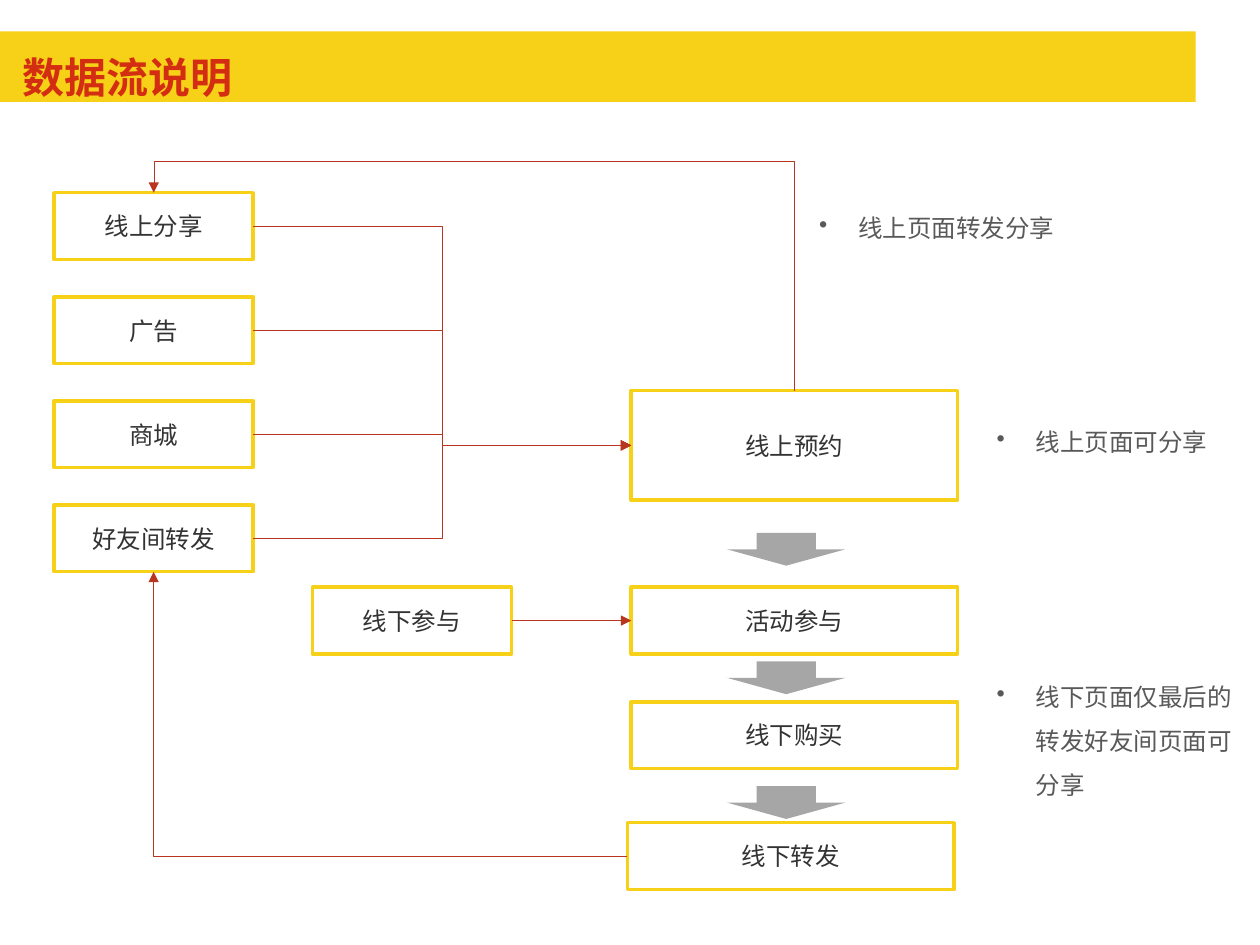
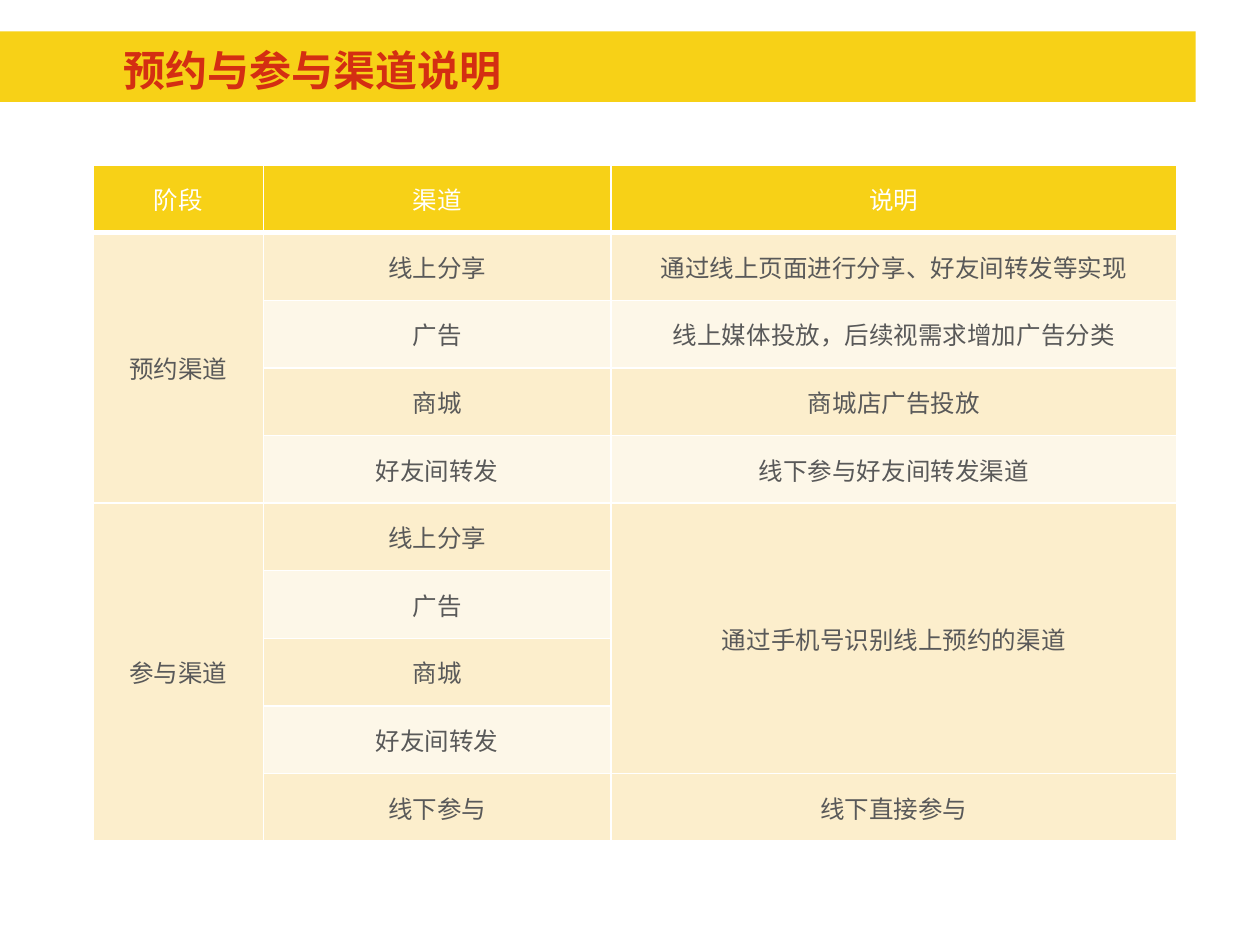
from dataclasses import dataclass

from lxml.etree import SubElement
from pptx import Presentation
from pptx.dml.color import RGBColor
from pptx.enum.shapes import MSO_CONNECTOR, MSO_SHAPE
from pptx.enum.text import MSO_ANCHOR, PP_ALIGN
from pptx.oxml.ns import qn
from pptx.util import Inches, Pt

YELLOW, RED, LINE_RED, GRAY = "F7D117", "D42E12", "B83520", "A6A6A6"
WHITE, BOX_TEXT, BODY_TEXT = "FFFFFF", "333333", "595959"
STRIPES = ("FDF7E8", "FCEECC")
BODY_FONT, TITLE_FONT = "Noto Sans CJK SC", "TeX Gyre Adventor"
TOP, LEFT, BOTTOM, RIGHT = range(4)  # connection sites of a rectangle

TITLE_FORMAT = {"name": TITLE_FONT, "size": Pt(24), "bold": True}
BODY_FORMAT = {"name": BODY_FONT, "size": Pt(14), "bold": False}
NO_MARGINS = {f"margin_{side}": 0 for side in ("left", "top", "right", "bottom")}


@dataclass
class Step:
    """A framed step of the data flow."""
    text: str
    left: float
    top: float
    width: float = 1.58
    height: float = 0.53


@dataclass
class Note:
    """A bulleted remark beside the flow."""
    text: str
    left: float
    top: float
    height: float = 0.53
    spacing: float = 1.5


@dataclass
class Merge:
    """A run of table rows joined in one column."""
    column: int
    first: int
    last: int


def rgb(value: str) -> RGBColor:
    """Turn a hex string into a colour."""
    return RGBColor.from_string(value)


def apply(target, values: dict) -> None:
    """Set each format value on the target."""
    for key, value in values.items():
        setattr(target, key, value)


def write(paragraph, text: str, color: str, values: dict, align=PP_ALIGN.LEFT) -> None:
    """Put one formatted run into a paragraph."""
    paragraph.alignment = align
    run = paragraph.add_run()
    run.text = text
    apply(run.font, values)
    run.font.color.rgb = rgb(color)
    SubElement(run.font._element, qn("a:ea"), typeface=BODY_FONT)


def add_block(slide, kind, left: float, top: float, width: float, height: float, fill: str):
    """Add a flat filled shape without outline."""
    block = slide.shapes.add_shape(kind, Inches(left), Inches(top), Inches(width), Inches(height))
    block.shadow.inherit = False
    block.fill.solid()
    block.fill.fore_color.rgb = rgb(fill)
    block.line.fill.background()
    return block


def add_text_area(slide, left: float, top: float, width: float, height: float):
    """Add a wrapping text box without margins and return its frame."""
    area = slide.shapes.add_textbox(Inches(left), Inches(top), Inches(width), Inches(height))
    apply(area.text_frame, {"word_wrap": True, "vertical_anchor": MSO_ANCHOR.MIDDLE, **NO_MARGINS})
    return area.text_frame


def add_titled_slide(deck, title: str, left: float, top: float):
    """Add a blank slide with the yellow band and its title."""
    slide = deck.slides.add_slide(deck.slide_layouts[6])
    add_block(slide, MSO_SHAPE.RECTANGLE, 0, 0.25, 9.49, 0.56, YELLOW)
    frame = add_text_area(slide, left, top, 8.42, 0.46)
    write(frame.paragraphs[0], title, RED, TITLE_FORMAT)
    return slide


def add_step(slide, step: Step):
    """Draw a step as a white box with a yellow frame."""
    box = add_block(slide, MSO_SHAPE.RECTANGLE, step.left, step.top, step.width, step.height, WHITE)
    box.line.color.rgb = rgb(YELLOW)
    box.line.width = Pt(2)
    box.text_frame.vertical_anchor = MSO_ANCHOR.MIDDLE
    write(box.text_frame.paragraphs[0], step.text, BOX_TEXT, BODY_FORMAT, PP_ALIGN.CENTER)
    return box


def add_note(slide, note: Note) -> None:
    """Draw a bulleted note with a hanging indent."""
    paragraph = add_text_area(slide, note.left, note.top, 1.89, note.height).paragraphs[0]
    write(paragraph, note.text, BODY_TEXT, BODY_FORMAT)
    apply(paragraph, {"line_spacing": note.spacing, "space_after": Pt(0.6)})
    properties = paragraph._p.get_or_add_pPr()
    properties.set("marL", str(Inches(0.31)))
    properties.set("indent", str(-Inches(0.31)))
    SubElement(properties, qn("a:buChar"), char="•")


def add_flow(slide, source, source_site: int, target, target_site: int, kind=MSO_CONNECTOR.ELBOW):
    """Join two steps with a thin red arrow."""
    flow = slide.shapes.add_connector(kind, 0, 0, 0, 0)
    flow.begin_connect(source, source_site)
    flow.end_connect(target, target_site)
    flow.line.color.rgb = rgb(LINE_RED)
    flow.line.width = Pt(0.25)
    SubElement(flow.line._get_or_add_ln(), qn("a:tailEnd"), type="triangle")
    SubElement(flow._element.spPr, qn("a:effectLst"))
    return flow


def turn_over_top(flow, bend: float) -> None:
    """Turn an elbow so that it leaves upwards and comes down on its target."""
    center_x, center_y = flow.left + flow.width // 2, flow.top + flow.height // 2
    width, height = flow.height, flow.width
    apply(flow, {"left": center_x - width // 2, "top": center_y - height // 2,
                 "width": width, "height": height})
    frame = flow._element.spPr.find(qn("a:xfrm"))
    for key, value in {"rot": "16200000", "flipH": "0", "flipV": "1"}.items():
        frame.set(key, value)
    guides = flow._element.spPr.find(qn("a:prstGeom")).find(qn("a:avLst"))
    SubElement(guides, qn("a:gd"), name="adj1", fmla=f"val {round(bend * 100000)}")


def set_borders(cell, widths: dict) -> None:
    """Give a cell white borders; they stand before its fill."""
    properties = cell._tc.get_or_add_tcPr()
    for index, side in enumerate("LRTB"):
        border = SubElement(properties, qn(f"a:ln{side}"), w=str(Pt(widths.get(side, 1))))
        fill = SubElement(border, qn("a:solidFill"))
        SubElement(fill, qn("a:srgbClr"), val=WHITE)
        properties.insert(index, border)


def add_channel_table(slide, rows: list, merges: list) -> None:
    """Draw the striped channel table."""
    row_height = 0.537
    table = slide.shapes.add_table(len(rows), 3, Inches(0.74), Inches(1.31), Inches(8.6),
                                   Inches(row_height * len(rows))).table
    for column, width in zip(table.columns, (1.35, 2.76, 4.49)):
        column.width = Inches(width)
    for merge in merges:
        table.cell(merge.first, merge.column).merge(table.cell(merge.last, merge.column))
    for row_index, texts in enumerate(rows):
        table.rows[row_index].height = Inches(row_height)
        header = row_index == 0
        for column_index, text in enumerate(texts):
            cell = table.cell(row_index, column_index)
            cell.vertical_anchor = MSO_ANCHOR.MIDDLE
            cell.fill.solid()
            cell.fill.fore_color.rgb = rgb(YELLOW if header else STRIPES[row_index % 2])
            set_borders(cell, {0: {"B": 3}, 1: {"T": 3}}.get(row_index, {}))
            if text:
                write(cell.text_frame.paragraphs[0], text, WHITE if header else BODY_TEXT,
                      BODY_FORMAT, PP_ALIGN.CENTER)


CHANNELS = ("线上分享", "广告", "商城", "好友间转发")


def build_data_flow(deck) -> None:
    """Build the slide that explains the data flow."""
    slide = add_titled_slide(deck, "数据流说明", 0.18, 0.38)
    channels = [add_step(slide, Step(text, 0.43, 1.53 + 0.826 * index))
                for index, text in enumerate(CHANNELS)]
    booking, activity, purchase, forwarding = [add_step(slide, step) for step in (
        Step("线上预约", 5.01, 3.1, 2.59, 0.87),
        Step("活动参与", 5.01, 4.66, 2.59),
        Step("线下购买", 5.01, 5.57, 2.59),
        Step("线下转发", 4.98, 6.53, 2.59),
    )]
    offline = add_step(slide, Step("线下参与", 2.48, 4.66))

    for channel in channels:
        add_flow(slide, channel, RIGHT, booking, LEFT)
    add_flow(slide, offline, RIGHT, activity, LEFT, MSO_CONNECTOR.STRAIGHT)
    return_flow = add_flow(slide, forwarding, LEFT, channels[-1], BOTTOM)
    return_flow._element.spPr.find(qn("a:prstGeom")).set("prst", "bentConnector2")
    turn_over_top(add_flow(slide, booking, TOP, channels[0], TOP), 1.159)

    for top in (4.23, 5.25, 6.24):
        add_block(slide, MSO_SHAPE.DOWN_ARROW, 5.77, top, 0.94, 0.26, GRAY)
    for note in (
        Note("线上页面转发分享", 6.5, 1.53, spacing=1.13),
        Note("线上页面可分享", 7.91, 3.18),
        Note("线下页面仅最后的转发好友间页面可分享", 7.91, 4.66, height=2.32),
    ):
        add_note(slide, note)


def build_channels(deck) -> None:
    """Build the slide that explains the channels."""
    slide = add_titled_slide(deck, "预约与参与渠道说明", 0.98, 0.32)
    details = ("通过线上页面进行分享、好友间转发等实现", "线上媒体投放\uff0c后续视需求增加广告分类",
               "商城店广告投放", "线下参与好友间转发渠道")
    stages = ("预约渠道", "", "", "")
    rows = [("阶段", "渠道", "说明"), *zip(stages, CHANNELS, details)]
    rows += zip(("参与渠道", "", "", "", ""), (*CHANNELS, "线下参与"),
                ("通过手机号识别线上预约的渠道", "", "", "", "线下直接参与"))
    add_channel_table(slide, rows, [Merge(0, 1, 4), Merge(0, 5, 9), Merge(2, 5, 8)])


def main() -> None:
    """Build and save the deck."""
    deck = Presentation()
    deck.slide_width, deck.slide_height = Inches(10), Inches(7.5)
    build_data_flow(deck)
    build_channels(deck)
    deck.save("out.pptx")


main()
